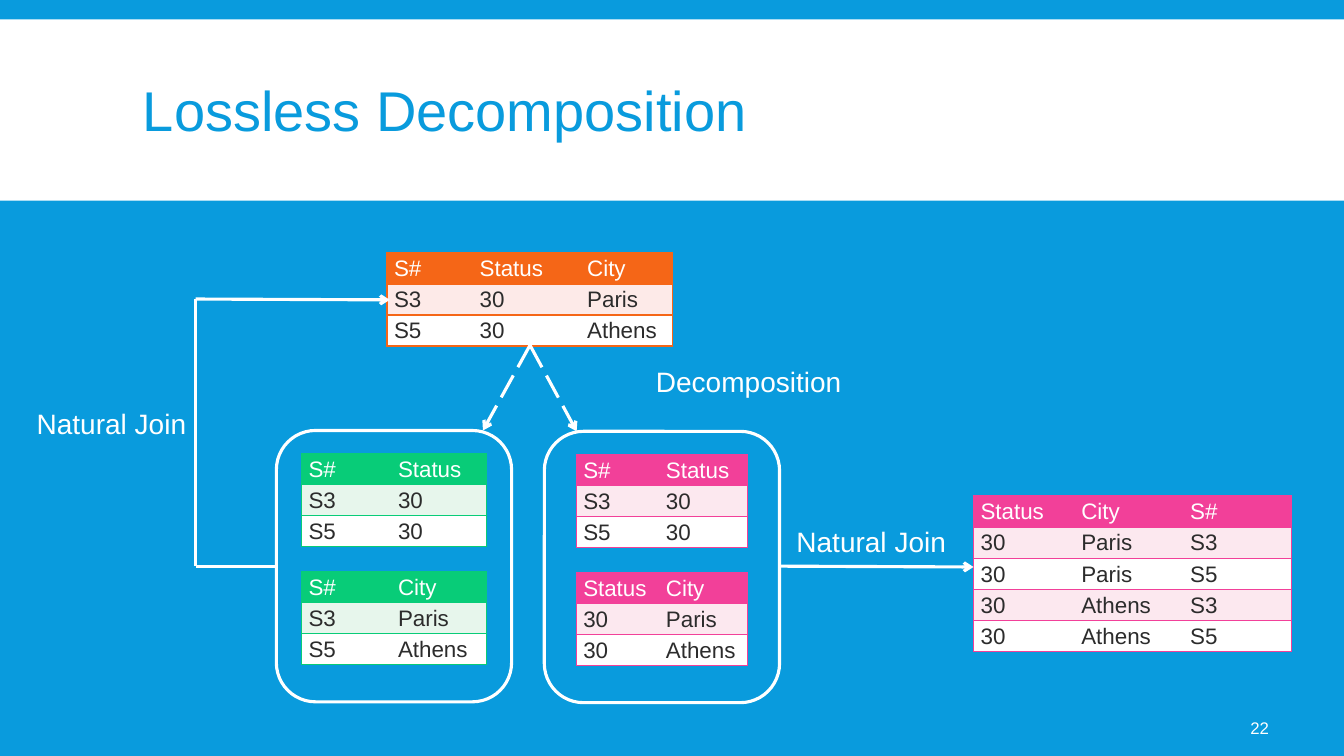
from collections import namedtuple
from lxml.etree import SubElement
from pptx import Presentation
from pptx.dml.color import RGBColor
from pptx.enum.dml import MSO_LINE
from pptx.enum.shapes import MSO_CONNECTOR, MSO_SHAPE
from pptx.enum.text import MSO_ANCHOR, PP_ALIGN
from pptx.oxml.ns import qn
from pptx.util import Inches, Pt

BLUE = RGBColor(0x09, 0x9B, 0xDD)
WHITE = RGBColor(0xFF, 0xFF, 0xFF)
INK = RGBColor(0x2C, 0x2C, 0x2C)
ORANGE = RGBColor(0xF5, 0x66, 0x17)
GREEN = RGBColor(0x08, 0xCC, 0x78)
PINK = RGBColor(0xF2, 0x40, 0x99)
TINTS = {
    ORANGE: RGBColor(0xFD, 0xEA, 0xE8),
    GREEN: RGBColor(0xE7, 0xF6, 0xEC),
    PINK: RGBColor(0xFC, 0xE8, 0xEF),
}
FONT = "Arial"
COLUMNS, ROWS = 160, 90
WIDTH, HEIGHT = Inches(13.333), Inches(7.5)
TALL_ROW, SHORT_ROW = 3.7, 3.4

Box = namedtuple("Box", "left top width height")


def across(columns):
    return round(WIDTH * columns / COLUMNS)


def down(rows):
    return round(HEIGHT * rows / ROWS)


def place(box):
    return across(box.left), down(box.top), across(box.width), down(box.height)


def style_text(para, size, color):
    for span in para.runs:
        span.font.name = FONT
        span.font.size = Pt(size)
        span.font.color.rgb = color


def add_label(page, box, text, size, color=WHITE, align=PP_ALIGN.LEFT,
              anchor=MSO_ANCHOR.TOP, spacing=1.0):
    frame = page.shapes.add_textbox(*place(box)).text_frame
    frame.word_wrap = True
    frame.vertical_anchor = anchor
    frame.text = text
    para = frame.paragraphs[0]
    para.alignment = align
    para.line_spacing = spacing
    style_text(para, size, color)


def add_borders(cell, color, is_first, is_last):
    properties = cell._tc.get_or_add_tcPr()
    sides = {"a:lnL": is_first, "a:lnR": is_last, "a:lnT": True, "a:lnB": True}
    for tag, visible in sides.items():
        border = SubElement(properties, qn(tag), w=str(Pt(1)))
        if visible:
            fill = SubElement(border, qn("a:solidFill"))
            SubElement(fill, qn("a:srgbClr"), val=str(color))
        else:
            SubElement(border, qn("a:noFill"))


def add_relation(page, left, top, widths, row_height, color, records):
    box = Box(left, top, sum(widths), row_height * len(records))
    table = page.shapes.add_table(len(records), len(widths), *place(box)).table
    table.first_row = table.horz_banding = False
    for column, width in zip(table.columns, widths):
        column.width = across(width)
    for row_index, record in enumerate(records):
        table.rows[row_index].height = down(row_height)
        if row_index == 0:
            fill, ink = color, WHITE
        else:
            fill, ink = (TINTS[color] if row_index % 2 else WHITE), INK
        for column_index, value in enumerate(record):
            cell = table.cell(row_index, column_index)
            cell.margin_left = cell.margin_right = Inches(0.07)
            cell.margin_top = cell.margin_bottom = 0
            add_borders(cell, color, column_index == 0, column_index == len(widths) - 1)
            cell.fill.solid()
            cell.fill.fore_color.rgb = fill
            cell.text = value
            para = cell.text_frame.paragraphs[0]
            para.line_spacing = 1.15
            style_text(para, 16, ink)


def add_line(page, start, end, arrow=True, dashed=False):
    connector = page.shapes.add_connector(
        MSO_CONNECTOR.STRAIGHT, across(start[0]), down(start[1]), across(end[0]), down(end[1]))
    connector.line.color.rgb = WHITE
    connector.line.width = Pt(2.25)
    if dashed:
        connector.line.dash_style = MSO_LINE.LONG_DASH
    if arrow:
        SubElement(connector.get_or_add_ln(), qn("a:tailEnd"), type="arrow")
    SubElement(connector._element.spPr, qn("a:effectLst"))


def add_header(page, box):
    band = page.shapes.add_shape(MSO_SHAPE.RECTANGLE, *place(box))
    band.shadow.inherit = False
    band.fill.solid()
    band.fill.fore_color.rgb = WHITE
    band.line.fill.background()
    title = Box(box.left + 15.84, box.top + 1.44, 128.4, 19.8)
    add_label(page, title, "Lossless Decomposition", 40, BLUE,
              anchor=MSO_ANCHOR.MIDDLE, spacing=0.85)


def add_projections(page, box, inset, widths, color, upper, lower):
    left = box.left + inset
    add_relation(page, left, box.top + 2.75, widths, SHORT_ROW, color, upper)
    add_relation(page, left, box.top + 16.8, widths, TALL_ROW, color, lower)
    outline = page.shapes.add_shape(MSO_SHAPE.ROUNDED_RECTANGLE, *place(box))
    outline.shadow.inherit = False
    outline.fill.background()
    outline.line.color.rgb = WHITE
    outline.line.width = Pt(2.25)


def add_diagram(page, box):
    left, top = box.left, box.top
    add_relation(page, left + 46.08, top + 6.1, (10.2, 12.8, 10.95), TALL_ROW, ORANGE,
                 [("S#", "Status", "City"), ("S3", "30", "Paris"), ("S5", "30", "Athens")])

    keyed = Box(left + 32.9, top + 27.25, 28, 32.3)
    split = Box(left + 64.8, top + 27.35, 28, 32.3)
    supplier_status = [("S#", "Status"), ("S3", "30"), ("S5", "30")]
    add_projections(page, keyed, 3, (10.65, 11.35), GREEN, supplier_status,
                    [("S#", "City"), ("S3", "Paris"), ("S5", "Athens")])
    add_projections(page, split, 3.8, (9.85, 10.55), PINK, supplier_status,
                    [("Status", "City"), ("30", "Paris"), ("30", "Athens")])

    joined = [("Status", "City", "S#")]
    joined += [("30", city, key) for city in ("Paris", "Athens") for key in ("S3", "S5")]
    add_relation(page, left + 115.9, top + 35.05, (12, 12.95, 12.95), TALL_ROW, PINK, joined)

    source = (left + 63.1, top + 17.1)
    add_line(page, source, (left + 57.5, keyed.top), dashed=True)
    add_line(page, source, (left + 68.65, split.top), dashed=True)
    join_row = top + 43.4
    add_line(page, (split.left + split.width, join_row), (left + 115.9, join_row + 0.1))

    lower_corner = (left + 23.28, join_row)
    upper_corner = (left + 23.28, top + 11.6)
    add_line(page, (keyed.left, join_row), lower_corner, arrow=False)
    add_line(page, lower_corner, upper_corner, arrow=False)
    add_line(page, upper_corner, (left + 46.4, top + 11.7))

    add_label(page, Box(left + 76.9, top + 18.85, 28, 5.25), "Decomposition", 20)
    for label_left, label_top in ((91.55, 37.9), (1.1, 23.85)):
        add_label(page, Box(left + label_left, top + label_top, 24.35, 5.25),
                  "Natural Join", 20, align=PP_ALIGN.CENTER)


def build_page(deck):
    page = deck.slides.add_slide(deck.slide_layouts[6])
    page.background.fill.solid()
    page.background.fill.fore_color.rgb = BLUE
    add_header(page, Box(0, 2.3, COLUMNS, 21.6))
    add_diagram(page, Box(0, 24, COLUMNS, 66))
    add_label(page, Box(139.9, 84.25, 12.35, 4.8), "22", 12,
              align=PP_ALIGN.RIGHT, anchor=MSO_ANCHOR.MIDDLE)


def main():
    deck = Presentation()
    deck.slide_width, deck.slide_height = WIDTH, HEIGHT
    build_page(deck)
    deck.save("out.pptx")


if __name__ == "__main__":
    main()
